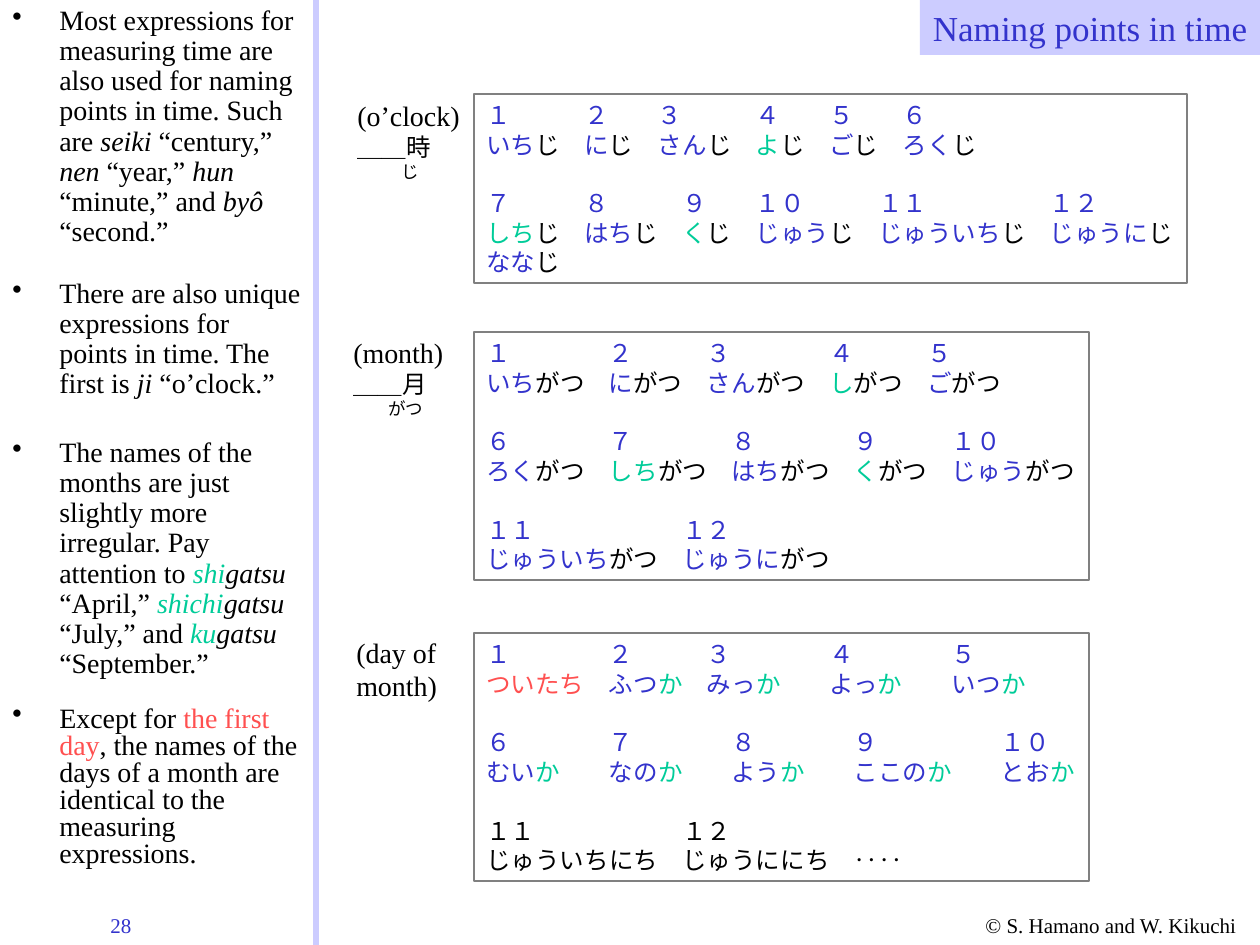
import pptx
import pptx.util
import pptx.dml.color
import pptx.enum.shapes
import pptx.enum.text
from lxml import etree

PX = 914400 // 126
EM = 177800
SERIF, KANA = "Times New Roman", "Noto Sans CJK JP"
HUES = {"b": "3333CC", "k": "000000", "g": "00CC99", "r": "FF5050",
        "pale": "CCCCFF", "edge": "808080"}

NOTES = [
    (0, 258, 0.9, [
        ("Most expressions for measuring time are also used for naming points in time. Such are ", "k"),
        ("seiki", "ki"), (" “century,” ", "k"), ("nen", "ki"), (" “year,” ", "k"),
        ("hun", "ki"), (" “minute,” and ", "k"), ("byô", "ki"), (" “second.”", "k")]),
    (273, 141, 0.9, [
        ("There are also unique expressions for points in time. The first is ", "k"),
        ("ji", "ki"), (" “o’clock.”", "k")]),
    (432, 263, 0.9, [
        ("The names of the months are just slightly more irregular. Pay attention to ", "k"),
        ("shi", "gi"), ("gatsu", "ki"), (" “April,” ", "k"),
        ("shichi", "gi"), ("gatsu", "ki"), (" “July,” and ", "k"),
        ("ku", "gi"), ("gatsu", "ki"), (" “September.”", "k")]),
    (701, 192, 0.8, [
        ("Except for ", "k"), ("the first day", "r"),
        (", the names of the days of a month are identical to the measuring expressions.", "k")]),
]

LABELS = [
    (345, 92, 139, ["(o’clock)"], "＿＿時", "じ", 44),
    (341, 329, 139, ["(month)"], "＿＿月", "がつ", 35),
    (344, 629, 112, ["(day of", "month)"], "", "", 0),
]

# Each row: column starts in characters, number hue, numbers, words.
# A word is a list of parts, each led by the letter of its hue.
BOXES = [
    (94, 713, 189, [
        ([0, 4, 7, 11, 14, 17], "b", "１ ２ ３ ４ ５ ６",
         ["bいち kじ", "bに kじ", "bさん kじ", "gよ kじ", "bご kじ", "bろく kじ"]),
        ([0, 4, 8, 11, 16, 23], "b", "７ ８ ９ １０ １１ １２",
         ["gしち kじ", "bはち kじ", "gく kじ", "bじゅう kじ", "bじゅういち kじ", "bじゅうに kじ"]),
    ], "bなな kじ"),
    (332, 615, 248, [
        ([0, 5, 9, 14, 18], "b", "１ ２ ３ ４ ５",
         ["bいち kがつ", "bに kがつ", "bさん kがつ", "gし kがつ", "bご kがつ"]),
        ([0, 5, 10, 15, 19], "b", "６ ７ ８ ９ １０",
         ["bろく kがつ", "gしち kがつ", "bはち kがつ", "gく kがつ", "bじゅう kがつ"]),
        ([0, 8], "b", "１１ １２", ["bじゅういち kがつ", "bじゅうに kがつ"]),
    ], ""),
    (633, 615, 248, [
        ([0, 5, 9, 14, 19], "b", "１ ２ ３ ４ ５",
         ["rついたち", "bふつ gか", "bみっ gか", "bよっ gか", "bいつ gか"]),
        ([0, 5, 10, 15, 21], "b", "６ ７ ８ ９ １０",
         ["bむい gか", "bなの gか", "bよう gか", "bここの gか", "bとお gか"]),
        ([0, 8, 15], "k", "１１ １２", ["kじゅういちにち", "kじゅうににち", "k‥‥"]),
    ], ""),
]

deck = pptx.Presentation()
deck.slide_width, deck.slide_height = 1260 * PX, 945 * PX
slide = deck.slides.add_slide(deck.slide_layouts[6])


def hue(key):
    return pptx.dml.color.RGBColor.from_string(HUES[key])


def tag(parent, name, **attrs):
    return etree.SubElement(parent, pptx.oxml.ns.qn("a:" + name), **attrs)


def place(x, y, w, h, wrap=False):
    box = slide.shapes.add_textbox(x * PX, y * PX, w * PX, h * PX)
    box.text_frame.word_wrap = wrap
    return box


def fill(par, runs, size=16, face=SERIF):
    for text, style in runs:
        run = par.add_run()
        run.text = text
        font = run.font
        font.size, font.name = pptx.util.Pt(size), face
        font.color.rgb = hue(style[0])
        font.italic = "i" in style
        if face == KANA:
            tag(run._r.get_or_add_rPr(), "ea", typeface=face)


def parts(word):
    return [(part[1:], part[0]) for part in word.split()]


def lines(frame):
    yield frame.paragraphs[0]
    while True:
        yield frame.add_paragraph()


def grid(par, starts, words):
    par.line_spacing = pptx.util.Pt(16.8)
    stops = tag(par._p.get_or_add_pPr(), "tabLst")
    for start in starts[1:]:
        tag(stops, "tab", pos=str(start * EM), algn="l")
    for i, word in enumerate(words):
        runs = parts(word)
        if i:
            runs[0] = ("\t" + runs[0][0], runs[0][1])
        fill(par, runs, 14, KANA)


def note(y, h, space, runs):
    par = place(0, y, 316, h, True).text_frame.paragraphs[0]
    par.line_spacing = space
    props = par._p.get_or_add_pPr()
    props.set("marL", str(47 * PX))
    props.set("indent", str(-47 * PX))
    tag(tag(props, "buClr"), "srgbClr", val=HUES["k"])
    tag(props, "buChar", char="•")
    fill(par, runs)


def label(x, y, w, names, sign, kana, inset):
    h = 97 if sign else 81
    pars = lines(place(x, y, w, h).text_frame)
    for name in names:
        fill(next(pars), [(name, "k")])
    if sign:
        for text, size, left in ((sign, 14, 0), (kana, 10, inset)):
            par = next(pars)
            par.line_spacing = pptx.util.Pt(size * 1.2)
            par._p.get_or_add_pPr().set("marL", str(left * PX))
            fill(par, [(text, "k")], size, KANA)


def chart(y, w, h, rows, extra):
    box = place(474, y, w, h)
    box.line.color.rgb = hue("edge")
    box.line.width = pptx.util.Pt(0.75)
    pars = lines(box.text_frame)
    for i, (starts, key, nums, words) in enumerate(rows):
        head = next(pars)
        if i:
            head.space_before = pptx.util.Pt(16.8)
        grid(head, starts, [key + num for num in nums.split()])
        grid(next(pars), starts, words)
    if extra:
        grid(next(pars), [0], [extra])


for x, w, text, key in ((973, 287, "© S. Hamano and W. Kikuchi", "k"), (98, 112, "28", "b")):
    fill(place(x, 906, w, 38).text_frame.paragraphs[0], [(text, key)], 12)

rule = slide.shapes.add_connector(
    pptx.enum.shapes.MSO_CONNECTOR.STRAIGHT, 316 * PX, 0, 316 * PX, 945 * PX)
rule.line.color.rgb = hue("pale")
rule.line.width = pptx.util.Pt(3)
tag(rule._element.spPr, "effectLst")

title = place(920, 0, 340, 55)
title.fill.solid()
title.fill.fore_color.rgb = hue("pale")
top = title.text_frame.paragraphs[0]
top.alignment = pptx.enum.text.PP_ALIGN.RIGHT
fill(top, [("Naming points in time", "b")], 20)

for item in NOTES:
    note(*item)
for item in LABELS:
    label(*item)
for item in BOXES:
    chart(*item)

deck.save("out.pptx")
